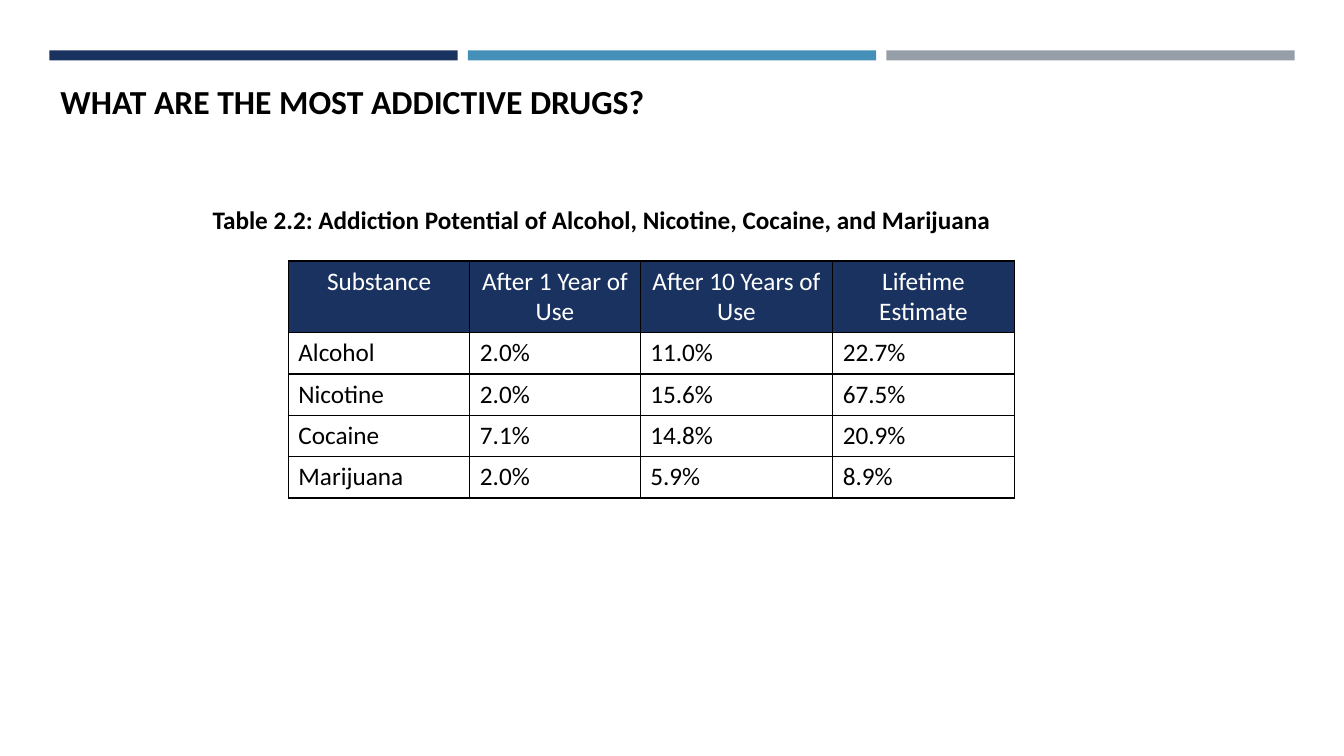
import pptx
import pptx.util
import pptx.dml.color
import pptx.enum.shapes
import pptx.enum.text
import pptx.oxml.ns
import lxml.etree

Inches = pptx.util.Inches
Pt = pptx.util.Pt
ALIGN = pptx.enum.text.PP_ALIGN
ANCHOR = pptx.enum.text.MSO_ANCHOR

COLORS = {"navy": "1A3260", "blue": "4590B8", "gray": "969FA7",
          "black": "000000", "white": "FFFFFF"}
FONT = "Calibri"

SUBSTANCES = [
    ["Substance", "After 1 Year of Use", "After 10 Years of Use", "Lifetime Estimate"],
    ["Alcohol", "2.0%", "11.0%", "22.7%"],
    ["Nicotine", "2.0%", "15.6%", "67.5%"],
    ["Cocaine", "7.1%", "14.8%", "20.9%"],
    ["Marijuana", "2.0%", "5.9%", "8.9%"],
]
COLUMN_WIDTHS = [1.8, 1.69, 1.91, 1.8]
HEADER_HEIGHT, ROW_HEIGHT = 0.71, 0.41


def rgb(name):
    return pptx.dml.color.RGBColor.from_string(COLORS[name])


def write(frame, text, size, color="black", bold=False, align=ALIGN.LEFT):
    frame.text = text
    para = frame.paragraphs[0]
    para.alignment = align
    para.font.name = FONT
    para.font.size = Pt(size)
    para.font.bold = bold
    para.font.color.rgb = rgb(color)


def place(shape, box):
    shape.left, shape.top, shape.width, shape.height = map(Inches, box)


def add_bars(page, box, gap=0.1):
    """Three equal bars across the top."""
    left, top, width, height = box
    bar_width = (width - 2 * gap) / 3
    for index, color in enumerate(["navy", "blue", "gray"]):
        bar = page.shapes.add_shape(
            pptx.enum.shapes.MSO_SHAPE.RECTANGLE,
            Inches(left + index * (bar_width + gap)), Inches(top),
            Inches(bar_width), Inches(height))
        bar.shadow.inherit = False
        bar.fill.solid()
        bar.fill.fore_color.rgb = rgb(color)
        bar.line.fill.background()


def add_title(page, box):
    title = page.shapes.title
    place(title, box)
    title.text_frame.vertical_anchor = ANCHOR.MIDDLE
    write(title.text_frame, "WHAT ARE THE MOST ADDICTIVE DRUGS?", 24, bold=True)


def add_caption(page, box):
    caption = page.shapes.add_textbox(*map(Inches, box))
    caption.text_frame.word_wrap = True
    write(caption.text_frame, "Table 2.2: Addiction Potential of Alcohol, "
          "Nicotine, Cocaine, and Marijuana", 18, bold=True)


def add_borders(cell):
    """Thin black line on all four sides."""
    properties = cell._tc.get_or_add_tcPr()
    qn = pptx.oxml.ns.qn
    for side in ("a:lnL", "a:lnR", "a:lnT", "a:lnB"):
        line = lxml.etree.SubElement(properties, qn(side), w=str(Pt(1)))
        fill = lxml.etree.SubElement(line, qn("a:solidFill"))
        lxml.etree.SubElement(fill, qn("a:srgbClr"), val=COLORS["black"])


def add_substance_table(page, left, top):
    heights = [HEADER_HEIGHT] + [ROW_HEIGHT] * (len(SUBSTANCES) - 1)
    table = page.shapes.add_table(
        len(heights), len(COLUMN_WIDTHS), Inches(left), Inches(top),
        Inches(sum(COLUMN_WIDTHS)), Inches(sum(heights))).table
    table.horz_banding = False
    for column, width in zip(table.columns, COLUMN_WIDTHS):
        column.width = Inches(width)
    for row, height, texts in zip(table.rows, heights, SUBSTANCES):
        row.height = Inches(height)
        header = texts is SUBSTANCES[0]
        for cell, text in zip(row.cells, texts):
            add_borders(cell)
            if header:
                cell.fill.solid()
                cell.fill.fore_color.rgb = rgb("navy")
                write(cell.text_frame, text, 18, "white", align=ALIGN.CENTER)
            else:
                cell.fill.background()
                write(cell.text_frame, text, 18)


def main():
    deck = pptx.Presentation()
    deck.slide_width, deck.slide_height = Inches(13.33), Inches(7.5)
    page = deck.slides.add_slide(deck.slide_layouts[5])
    add_bars(page, (0.49, 0.5, 12.35, 0.1))
    add_title(page, (0.5, 0.63, 12.33, 0.74))
    add_substance_table(page, 2.86, 2.59)
    add_caption(page, (2.01, 1.98, 8.9, 0.4))
    deck.save("out.pptx")


if __name__ == "__main__":
    main()
